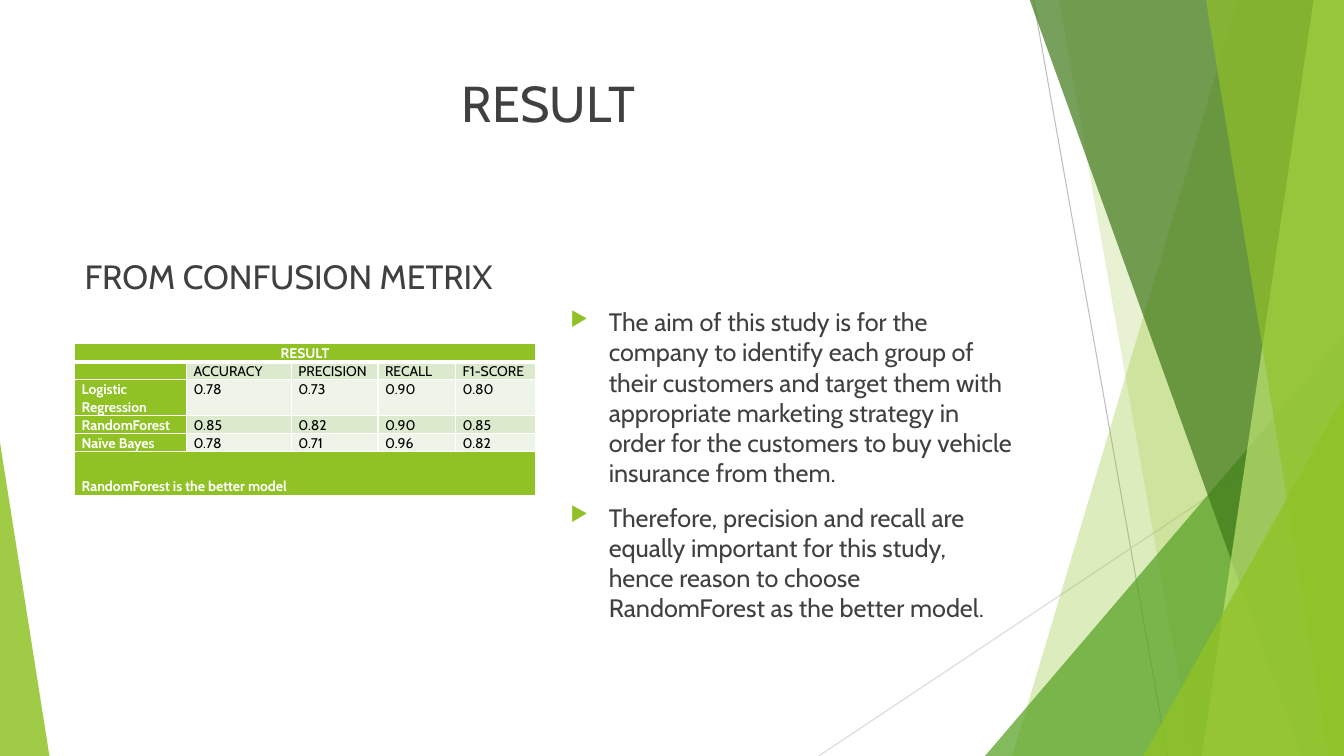
from lxml.etree import SubElement
from pptx import Presentation
from pptx.dml.color import RGBColor
from pptx.enum.shapes import MSO_CONNECTOR as Connector, MSO_SHAPE as Shape
from pptx.enum.text import MSO_ANCHOR as Anchor, PP_ALIGN as Align
from pptx.oxml.ns import qn
from pptx.util import Inches, Pt

COLORS = {
    "white": "FFFFFF", "black": "000000", "text": "404040",
    "lime": "90C226", "green": "54A021", "forest": "3F7819", "pale": "C0E474",
    "band_dark": "DBE9CD", "band_light": "EEF4E8",
    "line": "BFBFBF", "faint_line": "D9D9D9",
}
TOP, RIGHT, BOTTOM = -0.01, 13.33, 7.5


class SlideBuilder:
    font = "Cabin"

    def __init__(self, presentation):
        self.slide = presentation.slides.add_slide(presentation.slide_layouts[6])
        self.shapes = self.slide.shapes

    def color(self, name):
        return RGBColor.from_string(COLORS[name])

    def line(self, start, end, color):
        connector = self.shapes.add_connector(
            Connector.STRAIGHT, *map(Inches, start + end))
        connector.line.color.rgb = self.color(color)
        connector.line.width = Pt(0.75)
        SubElement(connector._element.spPr, qn("a:effectLst"))

    def paint(self, shape, color, opacity):
        shape.shadow.inherit = False
        shape.line.fill.background()
        shape.fill.solid()
        shape.fill.fore_color.rgb = self.color(color)
        fill_color = shape._element.spPr.find(qn("a:solidFill"))[0]
        SubElement(fill_color, qn("a:alpha"), val=str(opacity * 1000))

    def band(self, top_x, bottom_x, color, opacity):
        corners = [(RIGHT, TOP), (RIGHT, BOTTOM), (bottom_x, BOTTOM)]
        builder = self.shapes.build_freeform(Inches(top_x), Inches(TOP))
        builder.add_line_segments([(Inches(x), Inches(y)) for x, y in corners])
        self.paint(builder.convert_to_shape(), color, opacity)

    def triangle(self, box, apex, color, opacity):
        shape = self.shapes.add_shape(Shape.ISOSCELES_TRIANGLE, *map(Inches, box))
        shape.adjustments[0] = apex
        self.paint(shape, color, opacity)

    def style(self, paragraph, size, color, bold=False):
        for run in paragraph.runs:
            run.font.name = self.font
            run.font.size = Pt(size)
            run.font.bold = bold
            run.font.color.rgb = self.color(color)

    def bullet(self, paragraph):
        properties = paragraph._p.get_or_add_pPr()
        properties.set("marL", str(Inches(0.38)))
        properties.set("indent", str(-Inches(0.38)))
        bullet_color = SubElement(properties, qn("a:buClr"))
        SubElement(bullet_color, qn("a:srgbClr"), val=COLORS["lime"])
        SubElement(properties, qn("a:buSzPct"), val="80000")
        SubElement(properties, qn("a:buChar"), char="▶")

    def text(self, box, content, size, align=Align.LEFT, anchor=Anchor.TOP,
             space_before=0, bulleted=False):
        frame = self.shapes.add_textbox(*map(Inches, box)).text_frame
        frame.word_wrap = True
        frame.vertical_anchor = anchor
        frame.text = content
        for paragraph in frame.paragraphs:
            paragraph.alignment = align
            paragraph.space_before = Pt(space_before)
            if bulleted:
                self.bullet(paragraph)
            self.style(paragraph, size, "text")

    def cell(self, cell, content, fill, color, bold, bottom_width=1):
        cell.margin_left = cell.margin_right = Inches(0.07)
        cell.margin_top = cell.margin_bottom = 0
        cell.text = content
        paragraph = cell.text_frame.paragraphs[0]
        paragraph.line_spacing = 1.07
        paragraph.space_after = Pt(8)
        self.style(paragraph, 10, color, bold)
        if not content:
            SubElement(paragraph._p, qn("a:endParaRPr"), sz="1000")
        properties = cell._tc.get_or_add_tcPr()
        for side, width in (("L", 1), ("R", 1), ("T", 1), ("B", bottom_width)):
            border = SubElement(properties, qn(f"a:ln{side}"), w=str(Pt(width)))
            border_fill = SubElement(border, qn("a:solidFill"))
            SubElement(border_fill, qn("a:srgbClr"), val=COLORS["white"])
        cell.fill.solid()
        cell.fill.fore_color.rgb = self.color(fill)

    def table(self, box, widths, heights, rows):
        table = self.shapes.add_table(
            len(rows), len(widths), *map(Inches, box)).table
        table.first_row = table.horz_banding = False
        for column, width in zip(table.columns, widths):
            column.width = Inches(width)
        for row, height in zip(table.rows, heights):
            row.height = Inches(height)
        for row_index, row in enumerate(rows):
            spanning = len(row) == 1
            band = "band_dark" if row_index % 2 else "band_light"
            for column_index in range(len(widths)):
                header = spanning or column_index == 0
                self.cell(table.cell(row_index, column_index),
                          row[column_index] if column_index < len(row) else "",
                          "lime" if header else band,
                          "white" if header else "black", header,
                          1 if row_index else 3)
            if spanning:
                table.cell(row_index, 0).merge(
                    table.cell(row_index, len(widths) - 1))
        heading, footer = table.cell(0, 0), table.cell(len(rows) - 1, 0)
        heading.text_frame.paragraphs[0].alignment = Align.CENTER
        footer.vertical_anchor = Anchor.BOTTOM


def main():
    presentation = Presentation()
    presentation.slide_width = Inches(RIGHT)
    presentation.slide_height = Inches(BOTTOM)
    builder = SlideBuilder(presentation)

    builder.line((10.25, 0), (11.58, BOTTOM), "line")
    builder.line((RIGHT, 4.03), (8.12, BOTTOM), "faint_line")
    builder.band(12.28, 10.04, "lime", 30)
    builder.band(10.5, 11.83, "lime", 20)
    builder.triangle((9.77, 3.33, 3.56, 4.17), 1, "green", 72)
    builder.band(10.21, 12.91, "forest", 70)
    builder.band(13.03, 11.92, "pale", 70)
    builder.band(11.96, 13.18, "lime", 65)
    builder.triangle((11.34, 3.93, 1.99, 3.57), 1, "lime", 80)
    builder.triangle((0, 4.39, 0.49, 3.11), 0, "lime", 85)

    builder.text((0.74, 0.67, 9.4, 1.44), "RESULT", 36, align=Align.CENTER)
    builder.text((0.74, 2.36, 4.58, 0.63), "FROM CONFUSION METRIX", 24,
                 anchor=Anchor.BOTTOM, space_before=10)
    builder.table(
        (0.74, 3.41, 4.58, 1.49),
        (1.11, 1.04, 0.86, 0.77, 0.79),
        (0.18, 0.16, 0.34, 0.16, 0.16, 0.43),
        [
            ["RESULT"],
            ["", "ACCURACY", "PRECISION", "RECALL", "F1-SCORE"],
            ["Logistic Regression", "0.78", "0.73", "0.90", "0.80"],
            ["RandomForest", "0.85", "0.82", "0.90", "0.85"],
            ["Naïve Bayes", "0.78", "0.71", "0.96", "0.82"],
            ["RandomForest is the better model"],
        ])
    conclusions = [
        "The aim of this study is for the company to identify each group of "
        "their customers and target them with appropriate marketing strategy "
        "in order for the customers to buy vehicle insurance from them.",
        "Therefore, precision and recall are equally important for this study, "
        "hence reason to choose RandomForest as the better model.",
    ]
    builder.text((5.56, 2.99, 4.58, 3.61), "\n".join(conclusions), 18,
                 space_before=10, bulleted=True)
    presentation.save("out.pptx")


if __name__ == "__main__":
    main()
